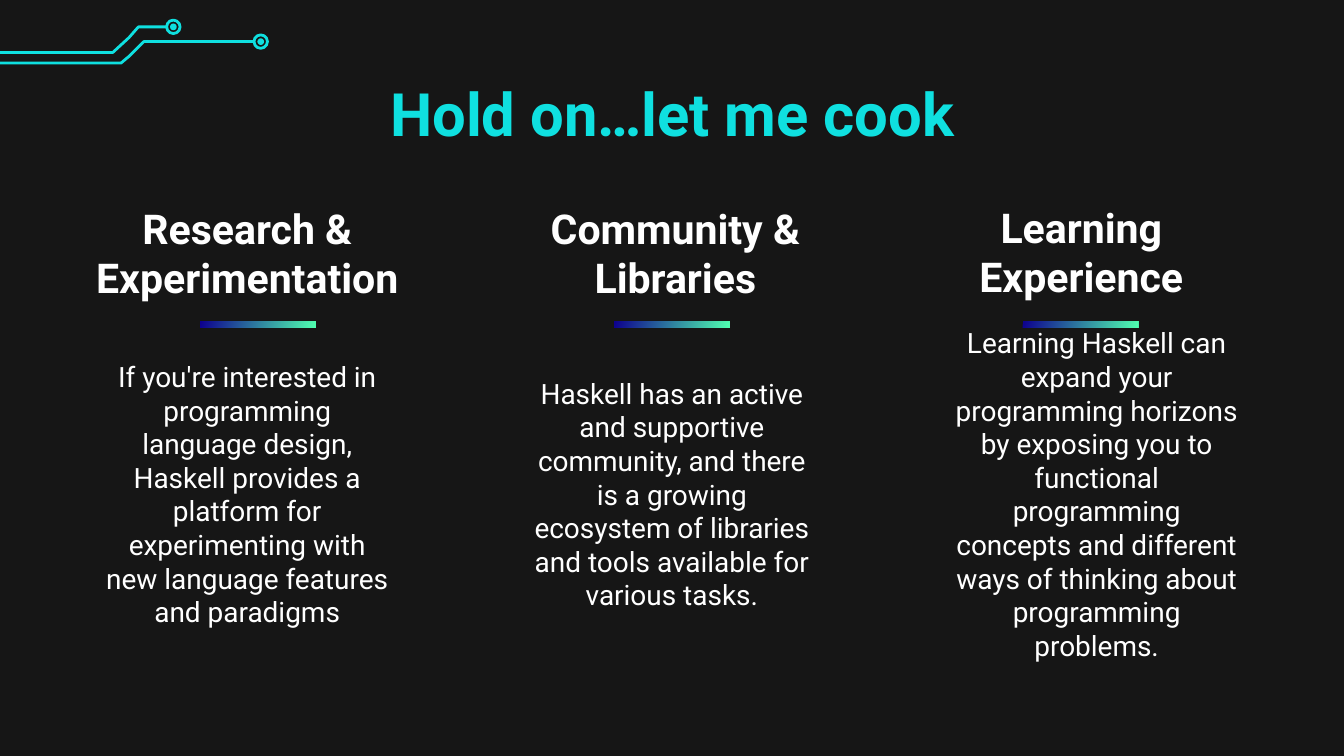
from pptx import Presentation
from pptx.dml.color import RGBColor
from pptx.enum import shapes, text
from pptx.util import Inches, Pt

BACKGROUND, CYAN, WHITE = "161616", "0FE0E0", "FFFFFF"
BAR_COLORS = ("0D008E", "50FFB0")
FONT = "Roboto"

TITLE = ("Hold on…let me cook", (0.79, 0.59, 8.43, 0.5))

# heading, heading box, bar left, body, body left
COLUMNS = [
    ("Research & Experimentation", (0.5, 1.68, 2.68, 0.4), 1.49,
     "If you're interested in programming language design, Haskell provides a "
     "platform for experimenting with new language features and paradigms", 0.67),
    ("Community & Libraries", (3.85, 1.68, 2.35, 0.4), 4.57,
     "Haskell has an active and supportive community, and there is a growing "
     "ecosystem of libraries and tools available for various tasks.", 3.83),
    ("Learning Experience", (6.87, 1.67, 2.35, 0.4), 7.61,
     "Learning Haskell can expand your programming horizons by exposing you to "
     "functional programming concepts and different ways of thinking about "
     "programming problems.", 6.99),
]

# trace points, centre of the node at its end
CIRCUITS = [
    ([(0, 0.47), (0.9, 0.47), (0.96, 0.42), (1.07, 0.31), (1.89, 0.31)], (1.94, 0.31)),
    ([(0, 0.39), (0.84, 0.39), (0.96, 0.28), (1.03, 0.2), (1.24, 0.2)], (1.29, 0.2)),
]
RING, DOT = 0.1, 0.05


def rgb(color):
    return RGBColor.from_string(color)


def style(sp, fill=None, line=None):
    sp.shadow.inherit = False
    if fill:
        sp.fill.solid()
        sp.fill.fore_color.rgb = rgb(fill)
    else:
        sp.fill.background()
    if line:
        sp.line.color.rgb = rgb(line)
        sp.line.width = Pt(1.5)
    else:
        sp.line.fill.background()


def add_circle(s, center, size, **look):
    x, y = (Inches(c - size / 2) for c in center)
    sp = s.shapes.add_shape(shapes.MSO_SHAPE.OVAL, x, y, Inches(size), Inches(size))
    style(sp, **look)


def add_circuit(s, points, node):
    start, *rest = [(Inches(x), Inches(y)) for x, y in points]
    builder = s.shapes.build_freeform(*start)
    builder.add_line_segments(rest, close=False)
    style(builder.convert_to_shape(), line=CYAN)
    add_circle(s, node, RING, line=CYAN)
    add_circle(s, node, DOT, fill=CYAN)


def add_bar(s, left):
    sp = s.shapes.add_shape(shapes.MSO_SHAPE.RECTANGLE, Inches(left), Inches(2.39),
                            Inches(0.86), Inches(0.05))
    style(sp)
    sp.fill.gradient()
    sp.fill.gradient_angle = 345
    for stop, color, position in zip(sp.fill.gradient_stops, BAR_COLORS, (0, 1)):
        stop.color.rgb = rgb(color)
        stop.position = position


def add_text(s, words, box, size, color=WHITE, bold=False):
    tf = s.shapes.add_textbox(*map(Inches, box)).text_frame
    tf.word_wrap = True
    tf.vertical_anchor = text.MSO_ANCHOR.MIDDLE
    tf.margin_left = tf.margin_right = tf.margin_top = tf.margin_bottom = Inches(0.1)
    tf.text = words
    p = tf.paragraphs[0]
    p.alignment = text.PP_ALIGN.CENTER
    font = p.runs[0].font
    font.name, font.size, font.bold = FONT, Pt(size), bold
    font.color.rgb = rgb(color)


def main():
    prs = Presentation()
    prs.slide_width = Inches(10)
    prs.slide_height = prs.slide_width * 9 // 16
    s = prs.slides.add_slide(prs.slide_layouts[6])
    s.background.fill.solid()
    s.background.fill.fore_color.rgb = rgb(BACKGROUND)

    for points, node in CIRCUITS:
        add_circuit(s, points, node)
    add_text(s, *TITLE, 32, CYAN, bold=True)
    for heading, heading_box, bar_left, body, body_left in COLUMNS:
        add_text(s, heading, heading_box, 22, bold=True)
        add_bar(s, bar_left)
        add_text(s, body, (body_left, 3.41, 2.34, 0.53), 15)
    prs.save("out.pptx")


if __name__ == "__main__":
    main()
